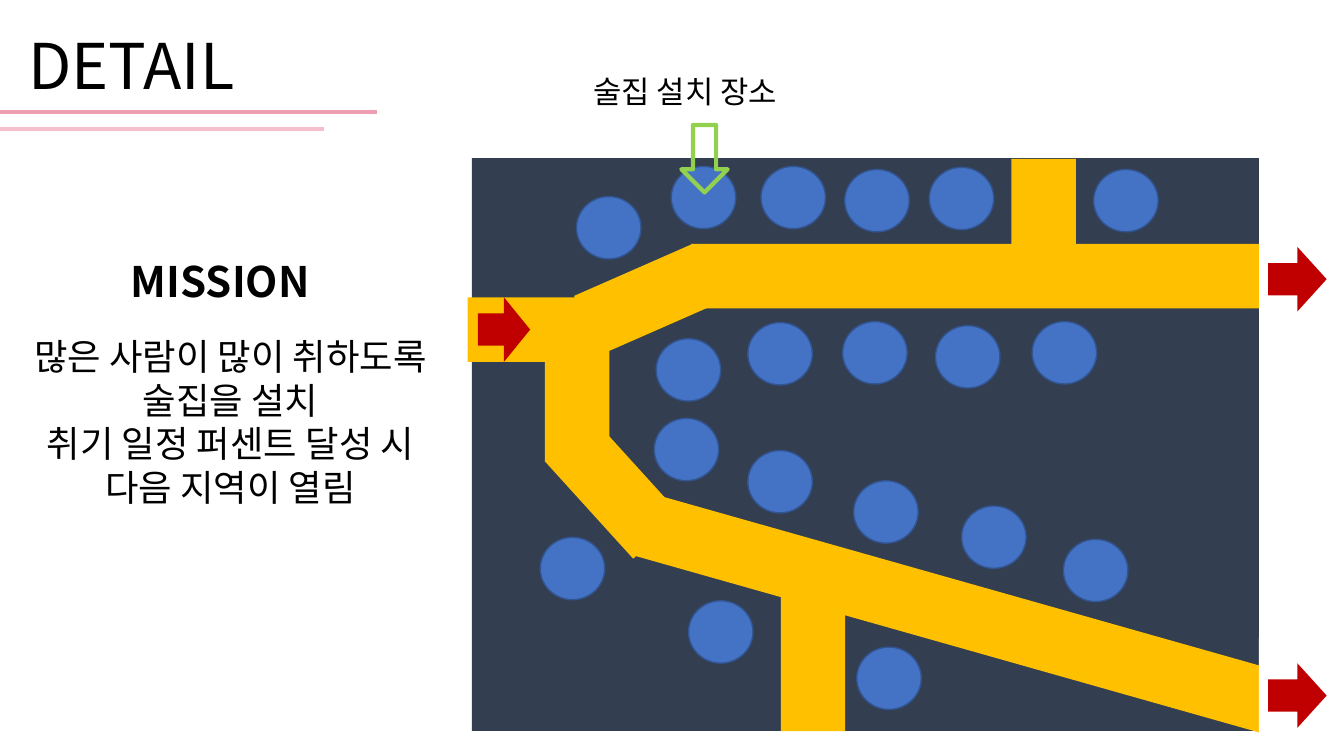
from lxml import etree
from pptx import Presentation
from pptx.dml.color import RGBColor
from pptx.enum.shapes import MSO_CONNECTOR, MSO_SHAPE
from pptx.enum.text import MSO_ANCHOR, MSO_AUTO_SIZE, PP_ALIGN
from pptx.oxml.ns import qn
from pptx.util import Pt

RECT, OVAL = MSO_SHAPE.RECTANGLE, MSO_SHAPE.OVAL
RIGHT_ARROW, DOWN_ARROW = MSO_SHAPE.RIGHT_ARROW, MSO_SHAPE.DOWN_ARROW
STRAIGHT = MSO_CONNECTOR.STRAIGHT
LEFT, CENTER, TOP = PP_ALIGN.LEFT, PP_ALIGN.CENTER, MSO_ANCHOR.TOP
GROW = MSO_AUTO_SIZE.SHAPE_TO_FIT_TEXT

FONT = "Noto Sans CJK KR"
COLORS = {
    "text": "000000", "paper": "FFFFFF", "ground": "333F50", "road": "FFC000",
    "exit": "C00000", "bar": "4472C4", "bar edge": "325491", "marker": "92D050",
    "rule dark": "EF9FB2", "rule light": "F4BECB",
}

TITLE = (["DETAIL"], (13, 11.5, 221, 62), 45, LEFT, False)
LABELS = [
    (["많은 사람이 많이 취하도록 술집을 설치", "취기 일정 퍼센트 달성 시 다음 지역이 열림"],
     (0.7, 232.6, 328.3, 133.2), 26, CENTER, False),
    (["MISSION"], (86.4, 176.4, 228.2, 43.9), 30, LEFT, True),
    (["술집 설치 장소"], (416.9, 46.1, 196.6, 33.8), 22, LEFT, False),
]
TITLE_RULES = [(79.9, 269.3, "rule dark"), (92.2, 231.1, "rule light")]

GROUND = (337, 113, 562.3, 409)
RIGHT_MARGIN = (899.3, 455.8, 70.6, 79.2)
ROAD_WIDTH = 46.1
ROADS = [
    (334.1, 212.4, 92.9, 0),
    (415.4, 190.8, 92.9, 336.3),
    (493.9, 174.2, 405.4, 0),
    (365.8, 260.6, 92.9, 90),
    (391.7, 326.2, 92.9, 47.8),
    (448.6, 415.4, 471.6, 15.8),
    (524.9, 443.5, 111.6, 90),
    (696.2, 139.7, 98.6, 90),
]
GATES = [(341.3, 212.4, 37.4), (905.8, 473.8, 41.8), (905.8, 176.4, 41.8)]
BAR_SIZE = (46.1, 44.6)
BARS = [
    (411.8, 140.4), (479.5, 118.8), (543.6, 118.8),
    (603.4, 121), (663.8, 119.5), (781.2, 121),
    (468.7, 241.9), (534.2, 230.4), (601.9, 229.7),
    (668.2, 232.6), (737.3, 229.7),
    (467.3, 298.8), (534.2, 321.8), (609.8, 343.4),
    (686.9, 361.4), (759.6, 385.2),
    (385.9, 383.8), (491.8, 429.1), (612, 462.2),
]
MARKER = (486.7, 89.3, 33.1, 48.2)


def rgb(name):
    return RGBColor.from_string(COLORS[name])


def points(box):
    return [Pt(length) for length in box]


def add_part(kind, box, fill=None, edge=None, edge_width=1, rotation=0):
    part = slide.shapes.add_shape(kind, *points(box))
    part.shadow.inherit = False
    part.rotation = rotation
    if fill:
        part.fill.solid()
        part.fill.fore_color.rgb = rgb(fill)
    else:
        part.fill.background()
    if edge:
        part.line.color.rgb = rgb(edge)
        part.line.width = Pt(edge_width)
    else:
        part.line.fill.background()


def write(holder, lines, box, size, align, bold):
    holder.left, holder.top, holder.width, holder.height = points(box)
    frame = holder.text_frame
    frame.word_wrap = True
    frame.auto_size = GROW
    frame.vertical_anchor = TOP
    frame.margin_left = frame.margin_right = Pt(7.2)
    frame.margin_top, frame.margin_bottom = Pt(3.6 + 0.09 * size), Pt(0)
    frame.text = "\n".join(lines)
    for paragraph in frame.paragraphs:
        paragraph.alignment = align
        paragraph.line_spacing = Pt(1.2 * size)
        paragraph.space_before = Pt(0)
        font = paragraph.font
        font.size, font.bold, font.name = Pt(size), bold, FONT
        font.color.rgb = rgb("text")
        defaults = paragraph._p.pPr.find(qn("a:defRPr"))
        etree.SubElement(defaults, qn("a:ea")).set("typeface", FONT)


deck = Presentation()
deck.slide_width, deck.slide_height = Pt(960), Pt(540)
slide = deck.slides.add_slide(deck.slide_layouts[5])

for y, end, color in TITLE_RULES:
    rule = slide.shapes.add_connector(STRAIGHT, *points((0, y, end, y)))
    rule.line.color.rgb = rgb(color)
    rule.line.width = Pt(3)
    etree.SubElement(rule._element.spPr, qn("a:effectLst"))

write(slide.shapes.title, *TITLE)

add_part(RECT, GROUND, "ground")
for x, y, length, rotation in ROADS:
    add_part(RECT, (x, y, length, ROAD_WIDTH), "road", rotation=rotation)
add_part(RECT, RIGHT_MARGIN, "paper")
for x, y, length in GATES:
    add_part(RIGHT_ARROW, (x, y, length, ROAD_WIDTH), "exit")
for corner in BARS:
    add_part(OVAL, corner + BAR_SIZE, "bar", "bar edge")
add_part(DOWN_ARROW, MARKER, edge="marker", edge_width=3)

for lines, box, size, align, bold in LABELS:
    write(slide.shapes.add_textbox(*points(box)), lines, box, size, align, bold)

deck.save("out.pptx")
